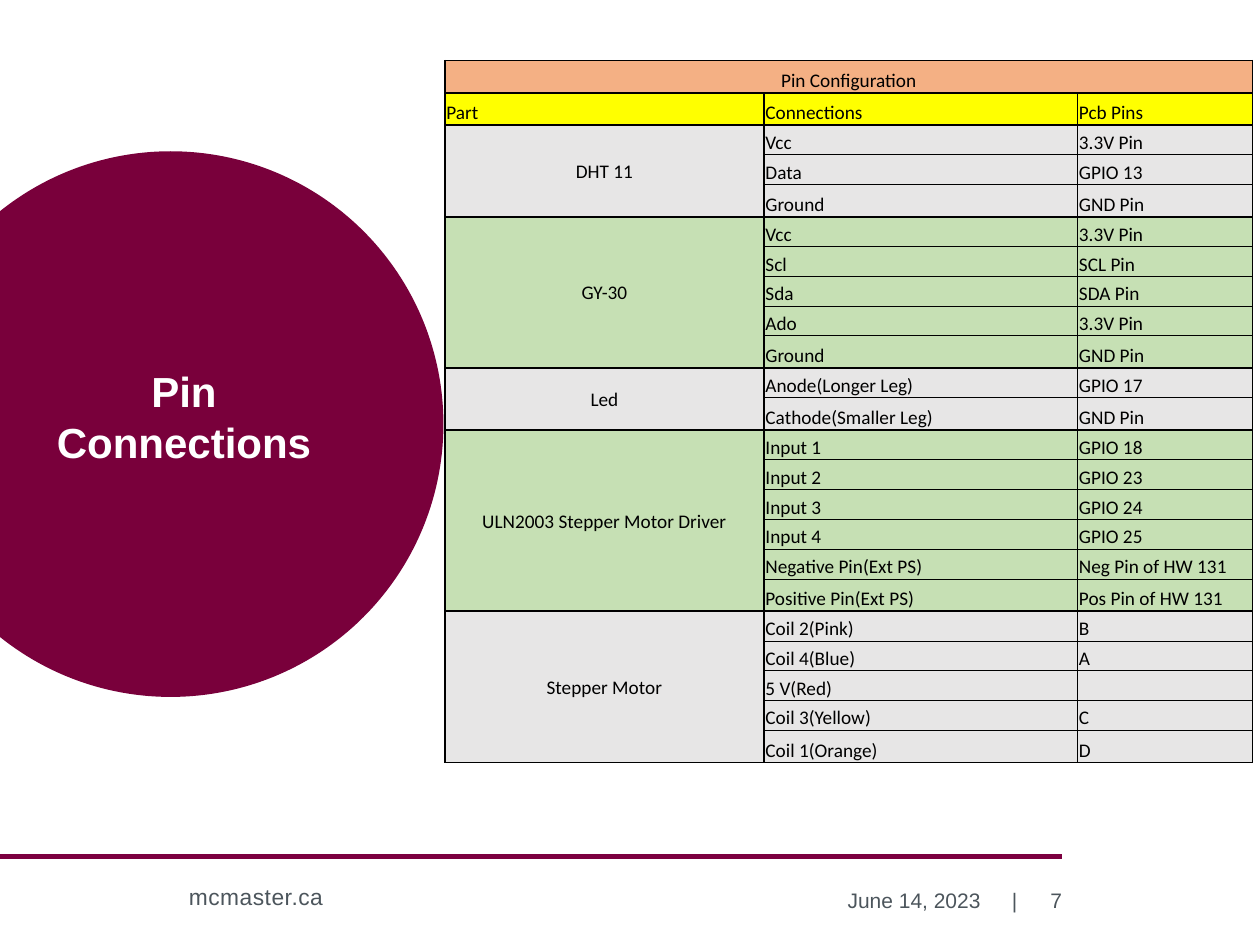
"""Build the pin connections slide with its wiring table."""
import dataclasses

import lxml.etree
import pptx
import pptx.dml.color
import pptx.enum.shapes
import pptx.enum.text
import pptx.oxml.ns
import pptx.util

Cm = pptx.util.Cm
Pt = pptx.util.Pt
Align = pptx.enum.text.PP_ALIGN
Anchor = pptx.enum.text.MSO_ANCHOR
qn = pptx.oxml.ns.qn


@dataclasses.dataclass(frozen=True)
class Theme:
    disc: str = "79003B"
    rule: str = "7C0040"
    footer: str = "4C555C"
    white: str = "FFFFFF"
    ink: str = "000000"
    heading: str = "F4B084"
    columns: str = "FFFF00"
    bands: tuple = ("E7E6E6", "C6E0B4")
    body_font: str = "Arial"
    table_font: str = "Calibri"
    title_size: float = 24
    site_size: float = 13
    footer_size: float = 12
    table_size: float = 11
    thick: float = 1
    thin: float = 0.5


COLUMN_WIDTHS = (6.43, 6.32, 3.53)
ROW_HEIGHT, EDGE_ROW_HEIGHT = 0.6, 0.65
HEADINGS = ("Part", "Connections", "Pcb Pins")
WIRING = {
    "DHT 11": [("Vcc", "3.3V Pin"), ("Data", "GPIO 13"), ("Ground", "GND Pin")],
    "GY-30": [("Vcc", "3.3V Pin"), ("Scl", "SCL Pin"), ("Sda", "SDA Pin"),
              ("Ado", "3.3V Pin"), ("Ground", "GND Pin")],
    "Led": [("Anode(Longer Leg)", "GPIO 17"), ("Cathode(Smaller Leg)", "GND Pin")],
    "ULN2003 Stepper Motor Driver": [
        ("Input 1", "GPIO 18"), ("Input 2", "GPIO 23"),
        ("Input 3", "GPIO 24"), ("Input 4", "GPIO 25"),
        ("Negative Pin(Ext PS)", "Neg Pin of HW 131"),
        ("Positive Pin(Ext PS)", "Pos Pin of HW 131")],
    "Stepper Motor": [("Coil 2(Pink)", "B"), ("Coil 4(Blue)", "A"), ("5 V(Red)", ""),
                      ("Coil 3(Yellow)", "C"), ("Coil 1(Orange)", "D")],
}


def rgb(value):
    return pptx.dml.color.RGBColor.from_string(value)


def write_text(frame, text, *, font, size, color, bold=False, align=Align.LEFT, spacing=0):
    paragraph = frame.paragraphs[0]
    paragraph.alignment = align
    if not text:
        lxml.etree.SubElement(paragraph._p, qn("a:endParaRPr"), sz=str(size * 100))
        return
    run = paragraph.add_run()
    run.text = text
    run.font.name = font
    run.font.size = Pt(size)
    run.font.bold = bold
    run.font.color.rgb = rgb(color)
    if spacing:
        run.font._element.set("spc", str(round(spacing * 100)))


class SlideBuilder:
    def __init__(self, slide, theme):
        self.slide = slide
        self.theme = theme

    def rule(self, left, top, right):
        rule = self.slide.shapes.add_connector(
            pptx.enum.shapes.MSO_CONNECTOR.STRAIGHT, Cm(left), Cm(top), Cm(right), Cm(top))
        rule.line.color.rgb = rgb(self.theme.rule)
        rule.line.width = Pt(3)
        lxml.etree.SubElement(rule._element.spPr, qn("a:effectLst"))

    def disc(self, left, top, diameter):
        disc = self.slide.shapes.add_shape(
            pptx.enum.shapes.MSO_SHAPE.OVAL, Cm(left), Cm(top), Cm(diameter), Cm(diameter))
        disc.shadow.inherit = False
        disc.fill.solid()
        disc.fill.fore_color.rgb = rgb(self.theme.disc)
        disc.line.fill.background()

    def label(self, text, left, top, width, height, *, anchor=Anchor.MIDDLE,
              right_inset=0.25, **style):
        frame = self.slide.shapes.add_textbox(
            Cm(left), Cm(top), Cm(width), Cm(height)).text_frame
        frame.word_wrap = True
        frame.vertical_anchor = anchor
        frame.margin_right = Cm(right_inset)
        write_text(frame, text, **{"font": self.theme.body_font, "size": self.theme.footer_size,
                                   "color": self.theme.footer, **style})

    def cell(self, cell, text, fill, *, centred=False, anchor=Anchor.BOTTOM,
             top=None, bottom=None):
        theme = self.theme
        cell.margin_left = cell.margin_right = cell.margin_top = Cm(0.03)
        cell.margin_bottom = 0
        cell.vertical_anchor = anchor
        cell.fill.solid()
        cell.fill.fore_color.rgb = rgb(fill)
        write_text(cell.text_frame, text, font=theme.table_font, size=theme.table_size,
                   color=theme.ink, align=Align.CENTER if centred else Align.LEFT)
        widths = {"lnL": theme.thick, "lnR": theme.thick,
                  "lnT": top or theme.thick, "lnB": bottom or theme.thick}
        properties = cell._tc.get_or_add_tcPr()
        for position, (side, width) in enumerate(widths.items()):
            border = lxml.etree.Element(qn(f"a:{side}"), w=str(Pt(width)))
            solid = lxml.etree.SubElement(border, qn("a:solidFill"))
            lxml.etree.SubElement(solid, qn("a:srgbClr"), val=theme.ink)
            properties.insert(position, border)

    def wiring_table(self, left, top, title, headings, wiring):
        theme = self.theme
        heights = [EDGE_ROW_HEIGHT] * 2
        for pins in wiring.values():
            heights += [ROW_HEIGHT] * (len(pins) - 1) + [EDGE_ROW_HEIGHT]
        table = self.slide.shapes.add_table(
            len(heights), len(headings), Cm(left), Cm(top),
            Cm(sum(COLUMN_WIDTHS)), Cm(sum(heights))).table
        table.first_row = table.horz_banding = False
        for column, width in zip(table.columns, COLUMN_WIDTHS):
            column.width = Cm(width)
        for row, height in zip(table.rows, heights):
            row.height = Cm(height)

        for column, heading in enumerate(headings):
            self.cell(table.cell(0, column), "" if column else title, theme.heading, centred=True)
            self.cell(table.cell(1, column), heading, theme.columns)
        table.cell(0, 0).merge(table.cell(0, len(headings) - 1))

        first = 2
        for group, (part, pins) in enumerate(wiring.items()):
            fill = theme.bands[group % 2]
            last = first + len(pins) - 1
            for row, pin in enumerate(pins, first):
                self.cell(table.cell(row, 0), part if row == first else "", fill,
                          centred=True, anchor=Anchor.MIDDLE)
                for column, text in enumerate(pin, 1):
                    self.cell(table.cell(row, column), text, fill,
                              top=theme.thick if row == first else theme.thin,
                              bottom=theme.thick if row == last else theme.thin)
            table.cell(first, 0).merge(table.cell(last, 0))
            first = last + 1


def main():
    deck = pptx.Presentation()
    deck.slide_width, deck.slide_height = Cm(25.4), Cm(19.05)
    theme = Theme()
    builder = SlideBuilder(deck.slides.add_slide(deck.slide_layouts[6]), theme)
    builder.rule(0, 17.27, 21.41)
    builder.label("mcmaster.ca", 3.56, 17.68, 6.96, 0.81, anchor=Anchor.TOP,
                  size=theme.site_size, spacing=0.3)
    builder.label("|", 20.12, 17.63, 0.64, 1.02, align=Align.RIGHT)
    builder.disc(-2.06, 3.05, 11)
    builder.label("Pin Connections", 0.41, 6.3, 6.6, 3.23, anchor=Anchor.BOTTOM,
                  size=theme.title_size, color=theme.white, bold=True, align=Align.CENTER)
    builder.label("7", 20.09, 17.63, 1.32, 1.02, right_inset=0, align=Align.RIGHT)
    builder.label("June 14, 2023", 14.58, 17.63, 5.44, 1.02, align=Align.RIGHT)
    builder.wiring_table(8.97, 1.22, "Pin Configuration", HEADINGS, WIRING)
    deck.save("out.pptx")


if __name__ == "__main__":
    main()
